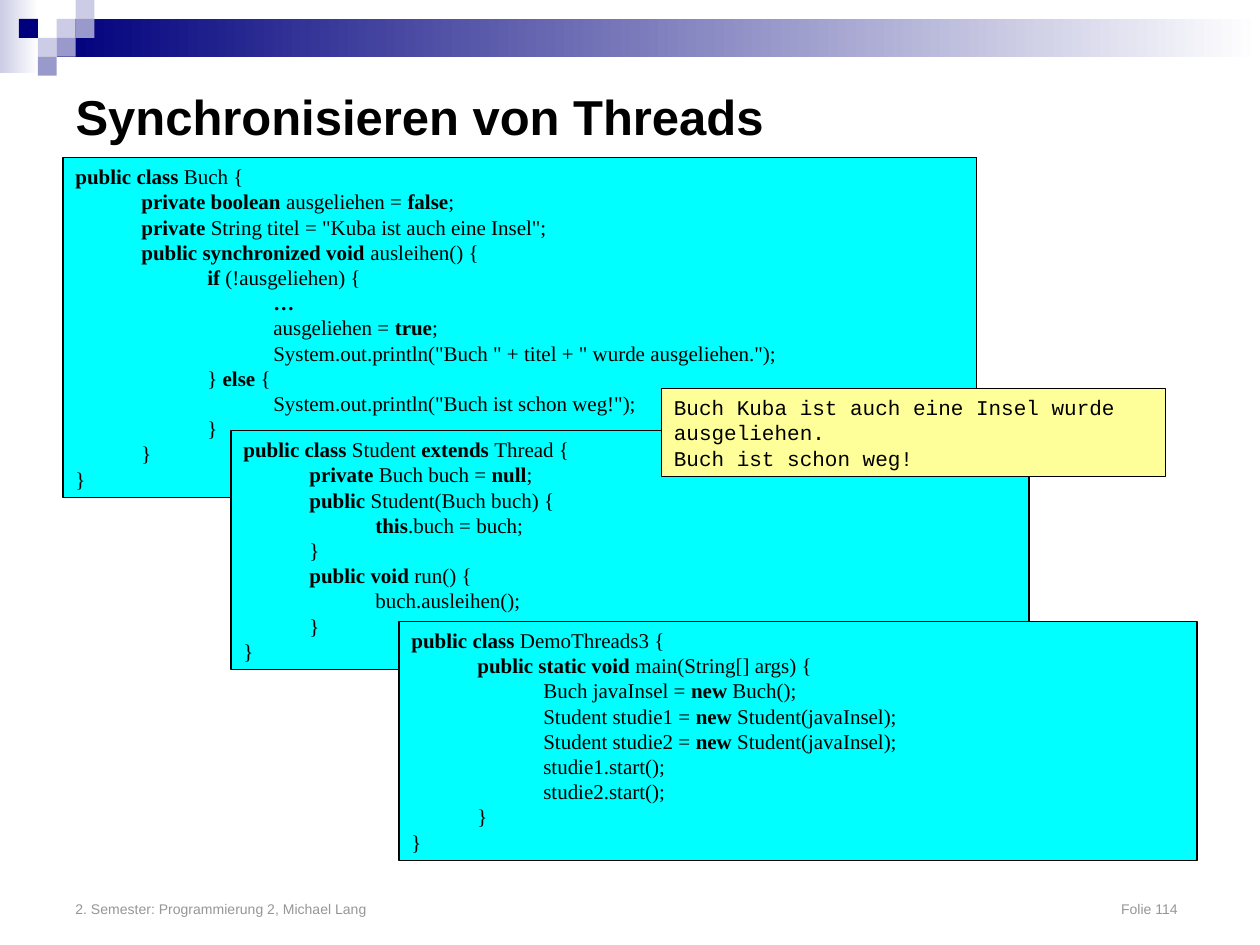
from pptx import Presentation
from pptx.dml.color import RGBColor
from pptx.enum.shapes import MSO_SHAPE as SHAPE
from pptx.enum.text import MSO_ANCHOR as ANCHOR, MSO_AUTO_SIZE as AUTO, PP_ALIGN as ALIGN
from pptx.oxml.xmlchemy import OxmlElement
from pptx.util import Pt

NAVY, LILAC, VIOLET = "00007D", "CCCCE6", "9999CC"
CYAN, YELLOW, WHITE, BLACK, GREY = "00FFFF", "FFFF99", "FFFFFF", "000000", "969696"
UNIT = 10.8
LINE_HEIGHT = 14.4
TAB_STEP = 37.7

# Text between asterisks is bold.
BOOK_CODE = """*public class *Buch {
\t*private boolean *ausgeliehen = *false*;
\t*private *String titel = "Kuba ist auch eine Insel";
\t*public synchronized void *ausleihen() {
\t\t*if *(!ausgeliehen) {
\t\t\t*…*
\t\t\tausgeliehen = *true*;
\t\t\tSystem.out.println("Buch " + titel + " wurde ausgeliehen.");
\t\t} *else* {
\t\t\tSystem.out.println("Buch ist schon weg!");
\t\t}
\t}
}"""
STUDENT_CODE = """*public class *Student *extends *Thread {
\t*private *Buch buch = *null*;
\t*public *Student(Buch buch) {
\t\t*this*.buch = buch;
\t}
\t*public void *run() {
\t\tbuch.ausleihen();
\t}
}"""
DEMO_CODE = """*public class *DemoThreads3 {
\t*public static void *main(String[] args) {
\t\tBuch javaInsel = *new *Buch();
\t\tStudent studie1 = *new* Student(javaInsel);
\t\tStudent studie2 = *new* Student(javaInsel);
\t\tstudie1.start();
\t\tstudie2.start();
\t}
}"""
OUTPUT = """Buch Kuba ist auch eine Insel wurde ausgeliehen.
Buch ist schon weg!"""


def rgb(color):
    return RGBColor.from_string(color)


def set_font(r, name, size, color=BLACK, bold=False):
    f = r.font
    f.name, f.size, f.bold = name, Pt(size), bold
    f.color.rgb = rgb(color)


def set_tabs(p, stops, align="l"):
    tabs = OxmlElement("a:tabLst")
    for stop in stops:
        tab = OxmlElement("a:tab")
        tab.set("pos", str(Pt(stop)))
        tab.set("algn", align)
        tabs.append(tab)
    p._p.get_or_add_pPr().append(tabs)


def add_rect(s, x, y, w, h, color, end_color=None):
    """Add a borderless rectangle, fading to end_color if one is given."""
    sp = s.shapes.add_shape(SHAPE.RECTANGLE, Pt(x), Pt(y), Pt(w), Pt(h))
    sp.shadow.inherit = False
    sp.line.fill.background()
    if end_color:
        sp.fill.gradient()
        sp.fill.gradient_angle = 0
        for stop, c in zip(sp.fill.gradient_stops, (color, end_color)):
            stop.color.rgb = rgb(c)
    else:
        sp.fill.solid()
        sp.fill.fore_color.rgb = rgb(color)
    return sp


def add_header(s):
    add_rect(s, 0, 0, 22, 42, LILAC, WHITE)
    add_rect(s, 3 * UNIT, UNIT, 720 - 3 * UNIT, 2 * UNIT, NAVY, WHITE)
    squares = [(3, 1, LILAC), (4, 0, LILAC), (4, 1, VIOLET), (2, 2, LILAC),
               (1, 1, NAVY), (3, 2, VIOLET), (2, 3, VIOLET)]
    for col, row, color in squares:
        add_rect(s, col * UNIT, row * UNIT, UNIT, UNIT, color)


def add_listing(s, x, y, w, lines, text, color=CYAN, font="Times New Roman"):
    """Add a bordered box, as high as the given number of displayed lines."""
    sp = add_rect(s, x, y, w, lines * LINE_HEIGHT + 7.2, color)
    sp.line.color.rgb = rgb(BLACK)
    sp.line.width = Pt(0.75)
    tf = sp.text_frame
    tf.word_wrap, tf.auto_size = True, AUTO.SHAPE_TO_FIT_TEXT
    tf.vertical_anchor = ANCHOR.TOP
    for i, line in enumerate(text.split("\n")):
        p = tf.add_paragraph() if i else tf.paragraphs[0]
        p.alignment, p.line_spacing = ALIGN.LEFT, Pt(LINE_HEIGHT)
        if line.startswith("\t"):
            set_tabs(p, [n * TAB_STEP for n in (1, 2, 3)])
        for j, part in enumerate(line.split("*")):
            if part:
                r = p.add_run()
                r.text = part
                set_font(r, font, 12, bold=j % 2 == 1)


def set_title(s, text):
    sp = s.shapes.title
    sp.left, sp.top, sp.width, sp.height = Pt(36), Pt(36), Pt(648), Pt(60)
    tf = sp.text_frame
    tf.text = text
    tf.vertical_anchor = ANCHOR.MIDDLE
    p = tf.paragraphs[0]
    p.alignment = ALIGN.LEFT
    set_font(p.runs[0], "Arial", 28, bold=True)


def add_footer(s, left, right):
    tf = s.shapes.add_textbox(Pt(36), Pt(492), Pt(648), Pt(36)).text_frame
    tf.word_wrap = True
    tf.vertical_anchor = ANCHOR.BOTTOM
    p = tf.paragraphs[0]
    set_tabs(p, [630], "r")
    r = p.add_run()
    r.text = f"{left}\t{right}"
    set_font(r, "Arial", 8, GREY)


def main():
    prs = Presentation()
    prs.slide_width, prs.slide_height = Pt(720), Pt(540)
    s = prs.slides.add_slide(prs.slide_layouts[5])
    add_header(s)
    add_footer(s, "2. Semester: Programmierung 2, Michael Lang", "Folie 114")
    set_title(s, "Synchronisieren von Threads")
    add_listing(s, 36, 90, 522, 13, BOOK_CODE)
    add_listing(s, 132, 246, 456, 9, STUDENT_CODE)
    add_listing(s, 228, 355, 456, 9, DEMO_CODE)
    add_listing(s, 378, 222, 288, 3, OUTPUT, YELLOW, "Courier New")
    prs.save("out.pptx")


if __name__ == "__main__":
    main()
